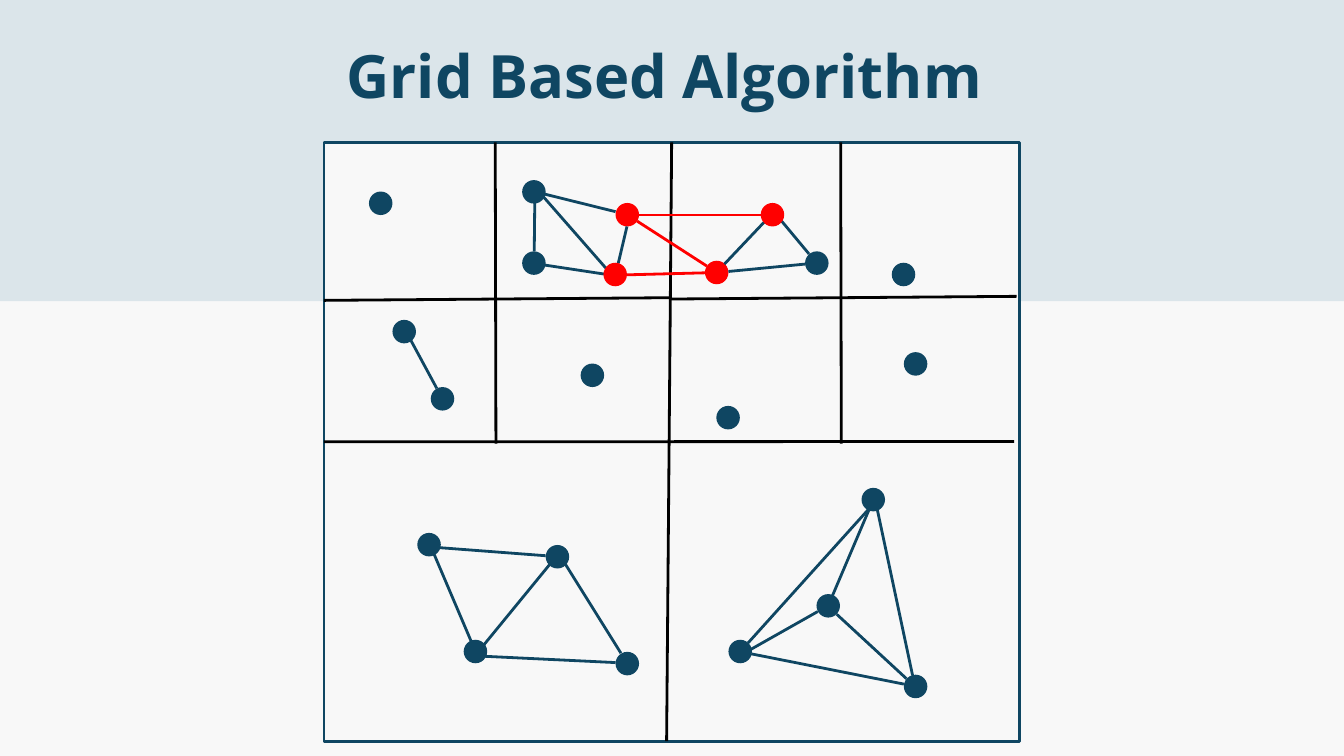
from lxml import etree
from pptx import Presentation
from pptx.dml.color import RGBColor
from pptx.enum.shapes import MSO_CONNECTOR, MSO_SHAPE
from pptx.enum.text import MSO_ANCHOR, MSO_AUTO_SIZE, PP_ALIGN
from pptx.oxml.ns import qn
from pptx.util import Pt

STRAIGHT = MSO_CONNECTOR.STRAIGHT
RECTANGLE = MSO_SHAPE.RECTANGLE
OVAL = MSO_SHAPE.OVAL
TOP = MSO_ANCHOR.TOP
GROW = MSO_AUTO_SIZE.SHAPE_TO_FIT_TEXT
CENTER = PP_ALIGN.CENTER

NAVY = RGBColor(0x0F, 0x46, 0x62)
RED = RGBColor(0xFF, 0x00, 0x00)
BLACK = RGBColor(0x00, 0x00, 0x00)
PAPER = RGBColor(0xF8, 0xF8, 0xF8)
MIST = RGBColor(0xDB, 0xE5, 0xEA)

EMU_PER_PX = 9144
SLIDE_WIDTH, SLIDE_HEIGHT = 2000, 1125
TOP_SIDE, LEFT_SIDE = 0, 1

NAVY_POINTS = [
    (641, 576), (777, 268), (621, 793), (1066, 604), (1345, 524),
    (777, 374), (864, 541), (584, 476), (812, 811), (549, 285),
    (1282, 726), (916, 970), (690, 952), (1198, 374), (1215, 884),
    (1327, 391), (1345, 1004), (1084, 952),
]
BACK_RED_POINTS = [(916, 302), (1049, 388)]
FRONT_RED_POINTS = [(1132, 302), (898, 391)]

GRID_LINES = [
    (1513, 441, 996, 445),
    (1000, 443, 482, 447),
    (1251, 212, 1252, 660),
    (737, 212, 738, 660),
]
CLUSTER_EDGES = [
    (602, 489, 650, 578), (796, 283, 795, 374), (933, 337, 920, 392),
    (916, 315, 811, 289), (920, 411, 801, 393), (1150, 317, 1078, 393),
    (1204, 378, 1154, 318), (1198, 393, 1084, 404), (812, 827, 628, 813),
    (916, 986, 708, 976), (701, 954, 641, 813), (924, 972, 831, 823),
    (1358, 1005, 1301, 737), (1113, 957, 1305, 744), (1118, 973, 1345, 1018),
    (1239, 886, 1293, 759), (1102, 975, 1217, 910), (1245, 914, 1349, 1010),
    (800, 283, 920, 420), (818, 840, 705, 978),
]
CROSS_CELL_EDGES = [
    (1132, 320, 950, 320), (1052, 396, 948, 329), (1049, 406, 933, 409),
]


class SlideBuilder:
    font_name = "Open Sans"
    title_size = Pt(64)
    title_spacing = Pt(89.6)
    line_width = Pt(3)
    point_size = 35

    def __init__(self, slide):
        self.slide = slide
        background = slide.background.fill
        background.solid()
        background.fore_color.rgb = PAPER

    def emu(self, *lengths):
        return [length * EMU_PER_PX for length in lengths]

    def shape(self, kind, box, fill, outline=None):
        shape = self.slide.shapes.add_shape(kind, *self.emu(*box))
        shape.shadow.inherit = False
        shape.fill.solid()
        shape.fill.fore_color.rgb = fill
        if outline is None:
            shape.line.fill.background()
        else:
            shape.line.color.rgb = outline
            shape.line.width = self.line_width
        return shape

    def points(self, corners, color):
        for left, top in corners:
            self.shape(OVAL, (left, top, self.point_size, self.point_size), color)

    def line(self, ends, color):
        connector = self.slide.shapes.add_connector(STRAIGHT, *self.emu(*ends))
        connector.line.color.rgb = color
        connector.line.width = self.line_width
        etree.SubElement(connector._element.spPr, qn("a:effectLst"))
        return connector

    def lines(self, all_ends, color):
        for ends in all_ends:
            self.line(ends, color)

    def title(self, text, box):
        title = self.slide.shapes.title
        title.left, title.top, title.width, title.height = self.emu(*box)
        frame = title.text_frame
        frame.margin_left = frame.margin_right = 0
        frame.margin_top = frame.margin_bottom = 0
        frame.word_wrap = True
        frame.auto_size = GROW
        frame.vertical_anchor = TOP
        paragraph = frame.paragraphs[0]
        paragraph.alignment = CENTER
        paragraph.line_spacing = self.title_spacing
        run = paragraph.add_run()
        run.text = text
        run.font.name = self.font_name
        run.font.size = self.title_size
        run.font.bold = True
        run.font.color.rgb = NAVY
        self.slide.shapes._spTree.append(title._element)


def main():
    presentation = Presentation()
    presentation.slide_width = SLIDE_WIDTH * EMU_PER_PX
    presentation.slide_height = SLIDE_HEIGHT * EMU_PER_PX
    title_only = presentation.slide_layouts[5]
    builder = SlideBuilder(presentation.slides.add_slide(title_only))

    builder.shape(RECTANGLE, (0, 0, SLIDE_WIDTH, 448), MIST)
    panel = builder.shape(RECTANGLE, (482, 212, 1035, 891), PAPER, NAVY)

    builder.lines(GRID_LINES, BLACK)
    lower_divider = builder.line((482, 657, 1509, 657), BLACK)
    lower_divider.begin_connect(panel, LEFT_SIDE)
    center_divider = builder.line((1000, 212, 992, 1103), BLACK)
    center_divider.begin_connect(panel, TOP_SIDE)

    builder.points(NAVY_POINTS, NAVY)
    builder.points(BACK_RED_POINTS, RED)
    builder.lines(CLUSTER_EDGES, NAVY)
    builder.lines(CROSS_CELL_EDGES, RED)
    builder.points(FRONT_RED_POINTS, RED)

    builder.title("Grid Based Algorithm", (433, 40, 1111, 120))
    presentation.save("out.pptx")


if __name__ == "__main__":
    main()
